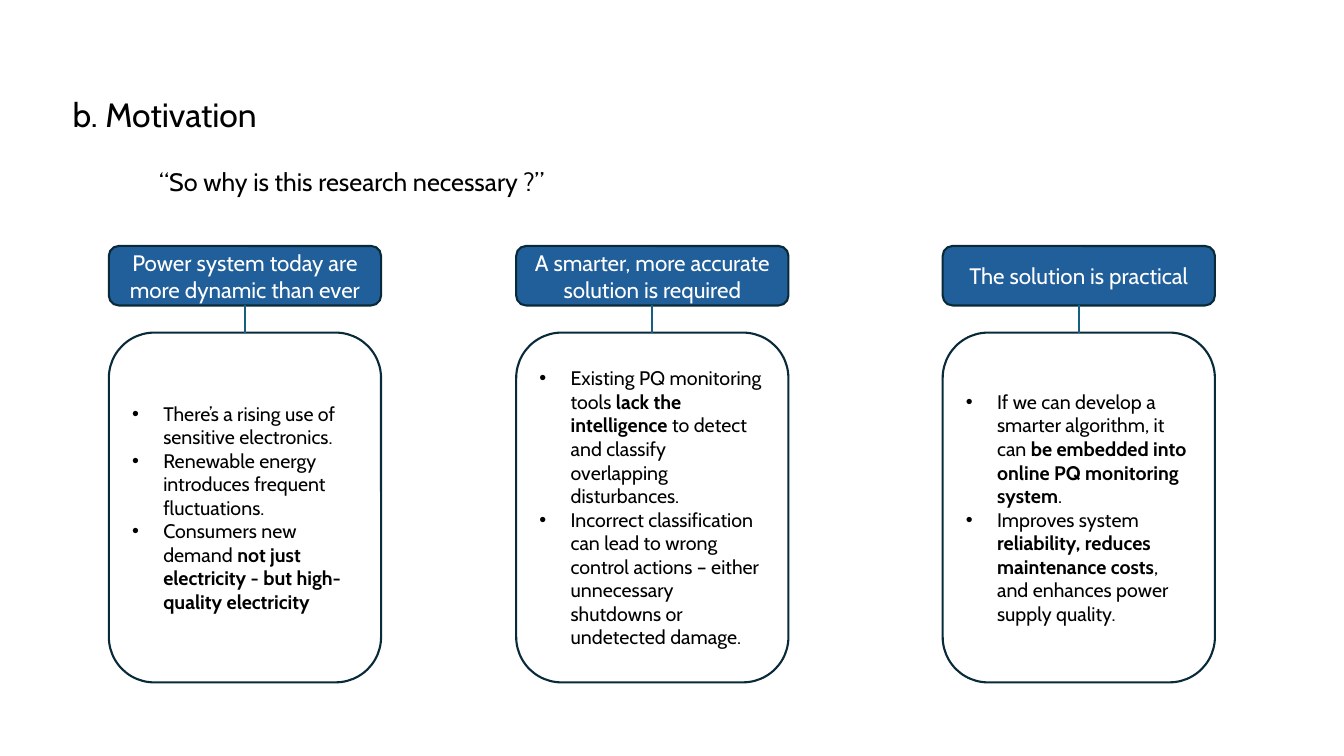
from lxml.etree import SubElement
from pptx import Presentation
from pptx.dml.color import RGBColor
from pptx.enum.shapes import MSO_CONNECTOR, MSO_SHAPE
from pptx.enum.text import MSO_ANCHOR, MSO_AUTO_SIZE, PP_ALIGN
from pptx.oxml.ns import qn
from pptx.util import Inches, Pt

FONT = "Cabin"
BLACK = RGBColor(0x00, 0x00, 0x00)
WHITE = RGBColor(0xFF, 0xFF, 0xFF)
HEADER_BLUE = RGBColor(0x21, 0x5F, 0x9A)
OUTLINE = RGBColor(0x09, 0x2A, 0x39)
LINK_BLUE = RGBColor(0x15, 0x60, 0x82)

COLUMN_TOP = 2.44
COLUMN_WIDTH = 2.7
HEADER_HEIGHT = 0.59
LINK_HEIGHT = 0.27
REASONS_HEIGHT = 3.47
BULLET_INDENT = 0.31

MOTIVATIONS = [
    (1.08, "Power system today are more dynamic than ever", [
        [("There’s a rising use of sensitive electronics.", False)],
        [("Renewable energy introduces frequent fluctuations.", False)],
        [("Consumers new demand ", False),
         ("not just electricity - but high-quality electricity", True)],
    ]),
    (5.12, "A smarter, more accurate solution is required", [
        [("Existing PQ monitoring tools ", False),
         ("lack the intelligence", True),
         (" to detect and classify overlapping disturbances.", False)],
        [("Incorrect classification can lead to wrong control actions – "
          "either unnecessary shutdowns or undetected damage.", False)],
    ]),
    (9.35, "The solution is practical", [
        [("If we can develop a smarter algorithm, it can ", False),
         ("be embedded into online PQ monitoring system", True),
         (".", False)],
        [("Improves system ", False),
         ("reliability, reduces maintenance costs", True),
         (", and enhances power supply quality.", False)],
    ]),
]


def add_run(paragraph, text, size, color, bold=False):
    run = paragraph.add_run()
    run.text = text
    run.font.name = FONT
    run.font.size = Pt(size)
    run.font.bold = bold
    run.font.color.rgb = color


def add_bullet(paragraph):
    properties = paragraph._p.get_or_add_pPr()
    properties.set("marL", str(Inches(BULLET_INDENT)))
    properties.set("indent", str(-Inches(BULLET_INDENT)))
    SubElement(properties, qn("a:buFont"), typeface="Arial")
    SubElement(properties, qn("a:buChar"), char="•")


def add_heading(slide, left, top, width, height):
    heading = slide.shapes.title
    heading.left, heading.top = Inches(left), Inches(top)
    heading.width, heading.height = Inches(width), Inches(height)
    frame = heading.text_frame
    frame.word_wrap = True
    frame.auto_size = MSO_AUTO_SIZE.NONE
    frame.vertical_anchor = MSO_ANCHOR.TOP
    frame.paragraphs[0].alignment = PP_ALIGN.LEFT
    add_run(frame.paragraphs[0], "b. Motivation", 24, BLACK)


def add_question(slide, left, top, width, height):
    question = slide.shapes.add_textbox(
        Inches(left), Inches(top), Inches(width), Inches(height))
    question.text_frame.word_wrap = True
    add_run(question.text_frame.paragraphs[0],
            "“So why is this research necessary ?”", 18, BLACK)


def add_card(slide, left, top, width, height, fill):
    card = slide.shapes.add_shape(
        MSO_SHAPE.ROUNDED_RECTANGLE,
        Inches(left), Inches(top), Inches(width), Inches(height))
    card.shadow.inherit = False
    card.fill.solid()
    card.fill.fore_color.rgb = fill
    card.line.color.rgb = OUTLINE
    card.line.width = Pt(1.5)
    card.text_frame.word_wrap = True
    card.text_frame.vertical_anchor = MSO_ANCHOR.MIDDLE
    return card.text_frame


def add_link(slide, center, top, height):
    link = slide.shapes.add_connector(
        MSO_CONNECTOR.STRAIGHT, Inches(center), Inches(top),
        Inches(center), Inches(top + height))
    link.line.color.rgb = LINK_BLUE
    link.line.width = Pt(1.5)
    SubElement(link._element.spPr, qn("a:effectLst"))


def add_motivation(slide, left, top, width, claim, reasons):
    header = add_card(slide, left, top, width, HEADER_HEIGHT, HEADER_BLUE)
    header.paragraphs[0].alignment = PP_ALIGN.CENTER
    add_run(header.paragraphs[0], claim, 16, WHITE)

    link_top = top + HEADER_HEIGHT
    reason_list = add_card(slide, left, link_top + LINK_HEIGHT, width,
                           REASONS_HEIGHT, WHITE)
    for index, reason in enumerate(reasons):
        paragraph = reason_list.add_paragraph() if index else reason_list.paragraphs[0]
        paragraph.alignment = PP_ALIGN.LEFT
        add_bullet(paragraph)
        for text, bold in reason:
            add_run(paragraph, text, 14, BLACK, bold)

    add_link(slide, left + width / 2, link_top, LINK_HEIGHT)


def main():
    presentation = Presentation()
    presentation.slide_width = Inches(13.33)
    presentation.slide_height = Inches(7.5)
    slide = presentation.slides.add_slide(presentation.slide_layouts[5])
    add_heading(slide, 0.62, 0.88, 3.05, 0.5)
    add_question(slide, 1.48, 1.6, 6.67, 0.4)
    for left, claim, reasons in MOTIVATIONS:
        add_motivation(slide, left, COLUMN_TOP, COLUMN_WIDTH, claim, reasons)
    presentation.save("out.pptx")


if __name__ == "__main__":
    main()
